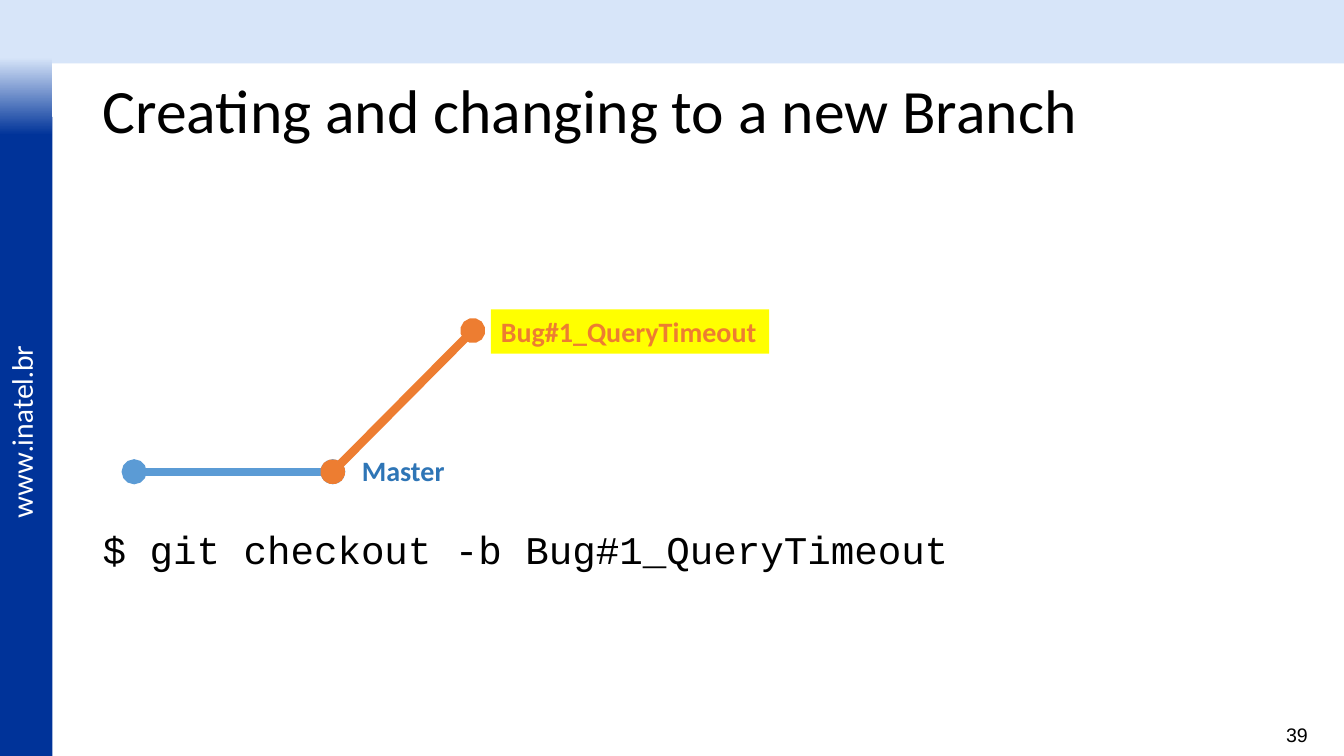
from dataclasses import dataclass
from typing import NamedTuple, Optional

from lxml import etree
from pptx import Presentation, util as u
from pptx.dml.color import RGBColor
from pptx.enum import shapes, text
from pptx.oxml import ns


@dataclass(frozen=True)
class Theme:
    pale: str = "D7E5F9"
    navy: str = "003399"
    white: str = "FFFFFF"
    black: str = "000000"
    blue: str = "5B9BD5"
    dark_blue: str = "2E75B6"
    orange: str = "ED7D31"
    yellow: str = "FFFF00"
    title: int = 44
    command: int = 28
    label: int = 20
    number: int = 14
    branch_line: int = 6
    sans: str = "Calibri"
    mono: str = "Courier New"
    address: str = "Lato"
    plain: str = "Arial"


class Area(NamedTuple):
    left: float
    top: float
    width: float
    height: float


class Commit(NamedTuple):
    x: float
    y: float


@dataclass(frozen=True)
class Band:
    area: Area
    color: str
    fade_to: Optional[str] = None


@dataclass(frozen=True)
class Label:
    words: str
    area: Area
    size: int
    font: str
    color: str
    bold: bool = False
    wrap: bool = True
    fill: Optional[str] = None
    rotation: int = 0
    spacing: float = 1.0
    align: text.PP_ALIGN = text.PP_ALIGN.LEFT
    anchor: text.MSO_ANCHOR = text.MSO_ANCHOR.TOP


@dataclass(frozen=True)
class Branch:
    start: Commit
    end: Commit
    color: str


T = Theme()
WIDTH, HEIGHT = u.Inches(13.33), u.Inches(7.5)
SIDE, MARGIN, CONTENT = 3.9, 6.9, 86.27

FIRST = Commit(9.98, 62.4)
FORK = Commit(24.76, 62.4)
TIP = Commit(35.18, 43.73)

BANDS = [
    Band(Area(0, 0, 100, 8.4), T.pale),
    Band(Area(0, 15.47, SIDE, 84.53), T.navy),
    Band(Area(0, 7.6, SIDE, 10.27), T.pale, T.navy),
]
BRANCHES = [Branch(FIRST, FORK, T.blue), Branch(FORK, TIP, T.orange)]
LABELS = [
    Label("www.inatel.br", Area(-6.64, 52.33, 16.5, 5.73), T.label, T.address,
          T.white, rotation=270),
    Label("39", Area(93.17, 94.93, 4.88, 4.53), T.number, T.plain, T.black,
          align=text.PP_ALIGN.RIGHT),
    Label("$ git checkout -b Bug#1_QueryTimeout", Area(MARGIN, 69.5, CONTENT, 25.5),
          T.command, T.mono, T.black, spacing=0.9),
    Label("Creating and changing to a new Branch", Area(MARGIN, 5.33, CONTENT, 19.33),
          T.title, T.sans, T.black, spacing=0.9, anchor=text.MSO_ANCHOR.MIDDLE),
    Label("Bug#1_QueryTimeout", Area(36.53, 40.93, 20.7, 5.87), T.label, T.sans,
          T.orange, bold=True, wrap=False, fill=T.yellow),
    Label("Master", Area(26.18, 59.33, 7.73, 5.87), T.label, T.sans,
          T.dark_blue, bold=True, wrap=False),
]


def across(share: float) -> int:
    return round(WIDTH * share / 100)


def down(share: float) -> int:
    return round(HEIGHT * share / 100)


def box(area: Area) -> tuple[int, int, int, int]:
    return across(area.left), down(area.top), across(area.width), down(area.height)


def rgb(color: str) -> RGBColor:
    return RGBColor.from_string(color)


def draw_band(s, band: Band) -> None:
    sp = s.shapes.add_shape(shapes.MSO_SHAPE.RECTANGLE, *box(band.area))
    sp.shadow.inherit = False
    sp.line.fill.background()
    if band.fade_to:
        sp.fill.gradient()
        sp.fill.gradient_angle = 270
        for stop, color in zip(sp.fill.gradient_stops, (band.color, band.fade_to)):
            stop.color.rgb = rgb(color)
    else:
        sp.fill.solid()
        sp.fill.fore_color.rgb = rgb(band.color)


def draw_branch(s, branch: Branch) -> None:
    start, end = branch.start, branch.end
    sp = s.shapes.add_connector(shapes.MSO_CONNECTOR.STRAIGHT, across(start.x),
                                down(start.y), across(end.x), down(end.y))
    sp.line.color.rgb = rgb(branch.color)
    sp.line.width = u.Pt(T.branch_line)
    ln = sp.line._get_or_add_ln()
    for tag in ("a:headEnd", "a:tailEnd"):
        etree.SubElement(ln, ns.qn(tag), type="oval")
    etree.SubElement(sp._element.spPr, ns.qn("a:effectLst"))


def draw_label(s, label: Label) -> None:
    sp = s.shapes.add_textbox(*box(label.area))
    sp.rotation = label.rotation
    if label.fill:
        sp.fill.solid()
        sp.fill.fore_color.rgb = rgb(label.fill)
    tf = sp.text_frame
    tf.word_wrap = label.wrap
    tf.vertical_anchor = label.anchor
    p = tf.paragraphs[0]
    p.alignment = label.align
    p.line_spacing = label.spacing
    r = p.add_run()
    r.text = label.words
    r.font.name = label.font
    r.font.size = u.Pt(label.size)
    r.font.bold = label.bold
    r.font.color.rgb = rgb(label.color)


def main() -> None:
    prs = Presentation()
    prs.slide_width, prs.slide_height = WIDTH, HEIGHT
    s = prs.slides.add_slide(prs.slide_layouts[6])
    for band in BANDS:
        draw_band(s, band)
    for branch in BRANCHES:
        draw_branch(s, branch)
    for label in LABELS:
        draw_label(s, label)
    prs.save("out.pptx")


if __name__ == "__main__":
    main()
